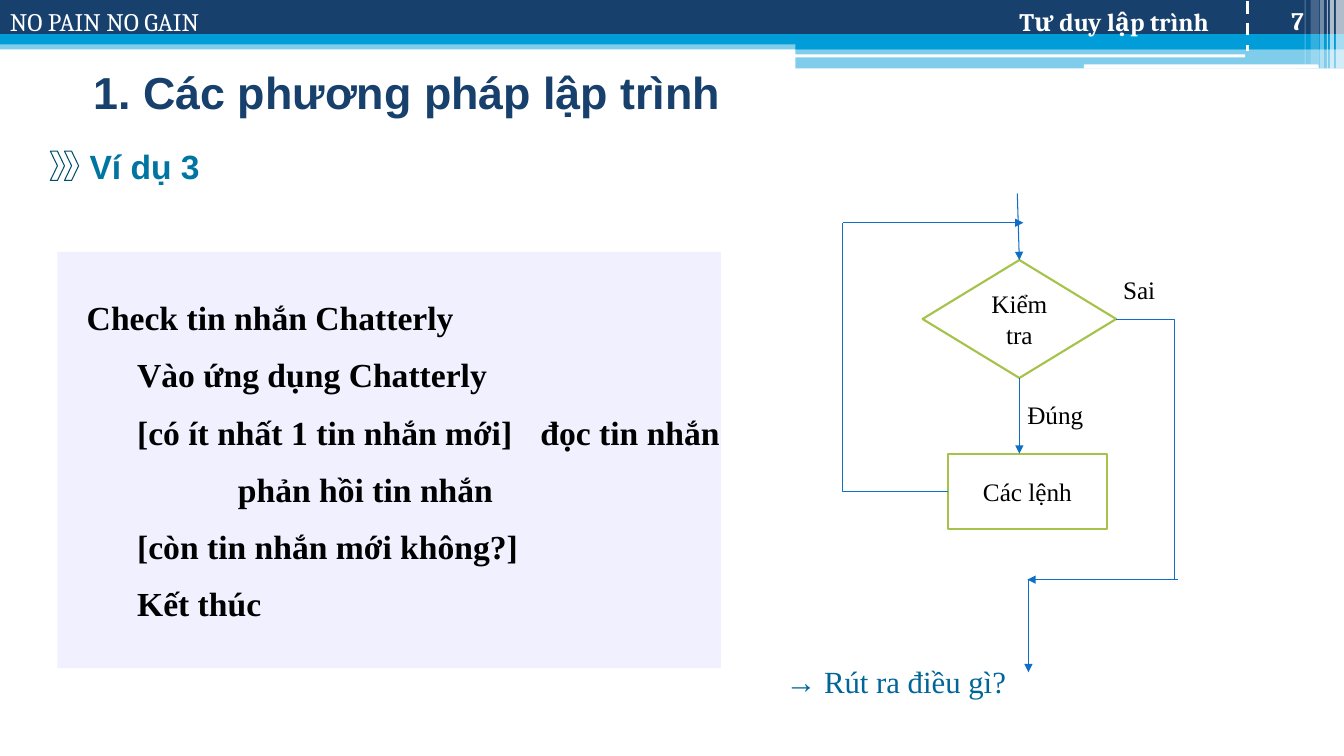
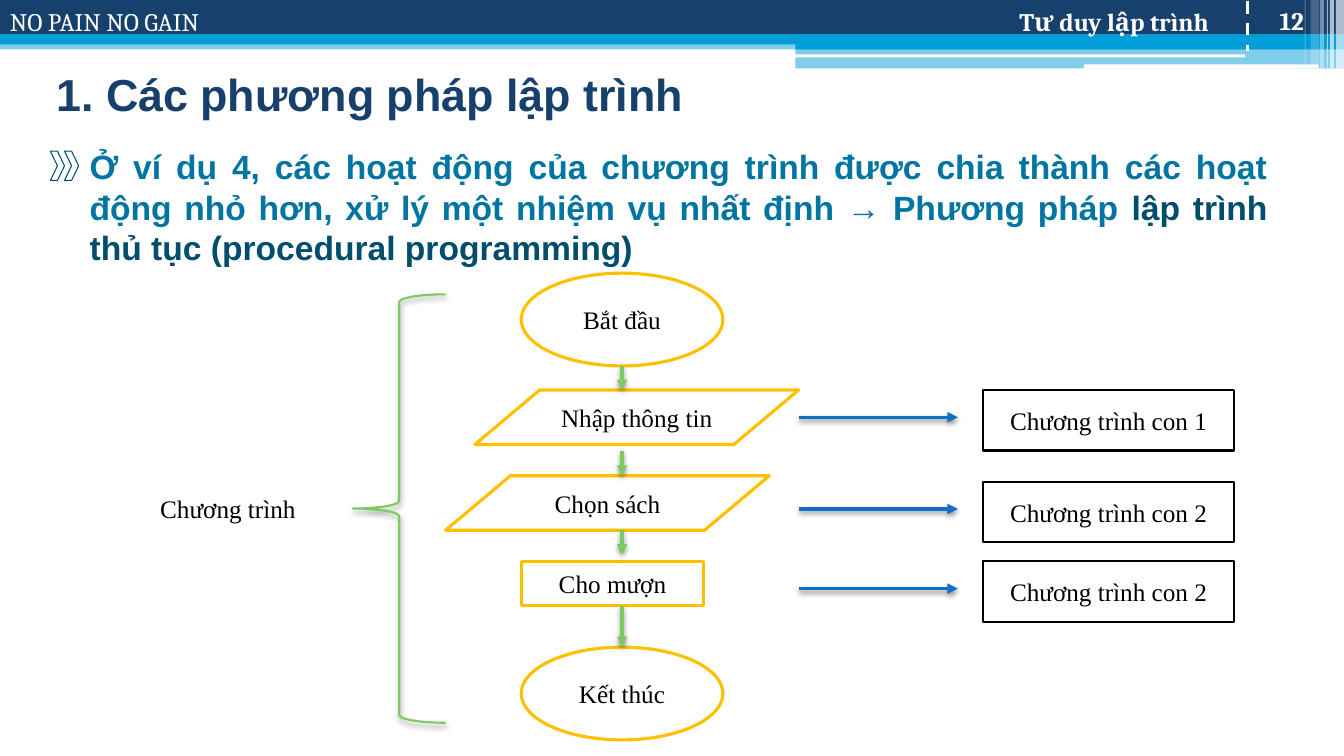
"""Build two lecture slides on programming methods."""
from lxml import etree
from pptx import Presentation
from pptx import util as u
from pptx.dml import color
from pptx.enum import dml, shapes, text
from pptx.oxml import ns

COLORS = {
    "navy": "17406D", "sky": "009DD9", "white": "FFFFFF", "black": "000000",
    "panel": "F0F0FF", "question": "006699", "heading": "0075A2",
    "emphasis": "004E6C", "olive": "A5C249", "blue": "0F6FC6",
    "gold": "FFC000", "green": "7CCA62",
}
SHAPE = shapes.MSO_SHAPE
ALIGN = text.PP_ALIGN
ANCHOR = text.MSO_ANCHOR
SERIF, SANS, HEADER = "Times New Roman", "Arial", "Cambria"
INSETS = (0.1, 0.05, 0.1, 0.05)
TITLE = "1. Các phương pháp lập trình"


def rgb(name):
    """Return the named colour."""
    return color.RGBColor.from_string(COLORS[name])


def add_child(parent, tag, **attributes):
    """Append a DrawingML element and return it."""
    return etree.SubElement(parent, ns.qn(tag), {k: str(v) for k, v in attributes.items()})


def set_shadow(item, blur=0.0, alpha=0):
    """Give a shape or connector a soft downward shadow, or none when blur is zero."""
    properties = item._element.spPr
    for effects in properties.findall(ns.qn("a:effectLst")):
        properties.remove(effects)
    effects = add_child(properties, "a:effectLst")
    if blur:
        outer = add_child(effects, "a:outerShdw", blurRad=u.Pt(blur), dist=u.Pt(2),
                          dir=5400000, rotWithShape=0)
        tint = add_child(outer, "a:srgbClr", val=COLORS["black"])
        add_child(tint, "a:alpha", val=alpha * 1000)


def add_figure(slide, kind, box, fill=None, line=None, width=1.5, alpha=100):
    """Add a preset shape with the given fill and outline."""
    figure = slide.shapes.add_shape(kind, *map(u.Inches, box))
    figure.shadow.inherit = False
    if fill:
        figure.fill.solid()
        figure.fill.fore_color.rgb = rgb(fill)
        if alpha < 100:
            tint = figure._element.spPr.find(ns.qn("a:solidFill"))[0]
            add_child(tint, "a:alpha", val=alpha * 1000)
    else:
        figure.fill.background()
    if line:
        figure.line.color.rgb = rgb(line)
        figure.line.width = u.Pt(width)
    else:
        figure.line.fill.background()
    return figure


def set_frame(item, insets=INSETS, anchor=ANCHOR.TOP):
    """Set wrapping, insets and anchor, and return the text frame."""
    frame = item.text_frame
    frame.word_wrap = True
    frame.vertical_anchor = anchor
    (frame.margin_left, frame.margin_top,
     frame.margin_right, frame.margin_bottom) = map(u.Inches, insets)
    return frame


def add_run(paragraph, words, size, font, tint, bold=False):
    """Append one formatted run."""
    run = paragraph.add_run()
    run.text = words
    run.font.size = u.Pt(size)
    run.font.name = font
    run.font.bold = bold
    run.font.color.rgb = rgb(tint)


def add_label(slide, box, words, size=18, font=SERIF, tint="black", bold=False,
              align=ALIGN.LEFT, anchor=ANCHOR.TOP, insets=INSETS):
    """Add a one-paragraph text box and return the paragraph."""
    label = slide.shapes.add_textbox(*map(u.Inches, box))
    paragraph = set_frame(label, insets, anchor).paragraphs[0]
    paragraph.alignment = align
    add_run(paragraph, words, size, font, tint, bold)
    return paragraph


def add_step(slide, kind, box, words, line, width=1.5):
    """Add a white flowchart step with centred text."""
    step = add_figure(slide, kind, box, "white", line, width)
    paragraph = set_frame(step, anchor=ANCHOR.MIDDLE).paragraphs[0]
    paragraph.alignment = ALIGN.CENTER
    add_run(paragraph, words, 18, SERIF, "black")


def add_line(slide, start, end, tint="blue", width=0.75, arrow=True, shadow=False, bent=False):
    """Add a straight or once-bent connector between two points."""
    kind = shapes.MSO_CONNECTOR.ELBOW if bent else shapes.MSO_CONNECTOR.STRAIGHT
    line = slide.shapes.add_connector(kind, *map(u.Inches, (*start, *end)))
    if bent:
        line._element.spPr.find(ns.qn("a:prstGeom")).set("prst", "bentConnector2")
    line.line.color.rgb = rgb(tint)
    line.line.width = u.Pt(width)
    if arrow:
        add_child(line.line._get_or_add_ln(), "a:tailEnd", type="triangle")
    set_shadow(line, *((4, 45) if shadow else ()))
    return line


def add_header(slide, number):
    """Draw the bands, course name and page number along the top edge."""
    bands = [
        (0, 0.4, 13.33, 0.09, "sky", 50), (0, 0, 13.33, 0.34, "navy", 100),
        (0, 0.34, 13.33, 0.1, "sky", 100), (7.89, 0.39, 5.44, 0.1, "sky", 100),
        (7.89, 0.48, 5.44, 0.2, "sky", 50),
    ]
    for *box, tint, alpha in bands:
        add_figure(slide, SHAPE.RECTANGLE, box, tint, alpha=alpha)
    for box in ((7.88, 0.54, 4.47, 0.03), (10.75, 0.64, 2.33, 0.04)):
        add_figure(slide, SHAPE.ROUNDED_RECTANGLE, box, "white")
    stripes = [
        (13.25, 0.08, 0.68, 65), (13.19, 0.04, 0.68, 65), (13.16, 0.01, 0.68, 60),
        (13.09, 0.04, 0.68, 40), (13, 0.08, 0.64, 20), (12.94, 0.01, 0.64, 30),
    ]
    for left, width, height, alpha in stripes:
        add_figure(slide, SHAPE.RECTANGLE, (left, 0, width, height), "white", alpha=alpha)
    add_label(slide, (0, 0.01, 3.56, 0.4), "NO PAIN NO GAIN", font=HEADER, tint="white")
    add_label(slide, (5.78, 0.01, 6.48, 0.4), "Tư duy lập trình", font=HEADER, tint="white",
              bold=True, align=ALIGN.RIGHT, anchor=ANCHOR.BOTTOM, insets=(0.1, 0.05, 0.27, 0.05))
    divider = add_line(slide, (12.37, 0.01), (12.37, 0.51), "white", 2.25, arrow=False)
    divider.line.dash_style = dml.MSO_LINE.DASH
    add_label(slide, (12.22, 0, 0.81, 0.4), str(number), font=HEADER, tint="white",
              bold=True, align=ALIGN.RIGHT, anchor=ANCHOR.BOTTOM)


def add_heading(slide, box, words, align=ALIGN.LEFT):
    """Add a heading after two chevrons and return its paragraph."""
    left, top, width, height = box
    for index in range(2):
        add_figure(slide, SHAPE.CHEVRON, (left + index * 0.14, top + 0.15, 0.14, 0.29),
                   line="emphasis", width=0.75)
    return add_label(slide, (left + 0.29, top, width - 0.29, height), words, 24, SANS,
                     "heading", True, align, insets=(0.1, 0.1, 0.1, 0.1))


def start_slide(deck, number, title_box):
    """Add a blank slide with the shared header and title."""
    slide = deck.slides.add_slide(deck.slide_layouts[6])
    add_header(slide, number)
    add_label(slide, title_box, TITLE, 32, SANS, "navy", True, anchor=ANCHOR.MIDDLE)
    return slide


def add_algorithm(slide, box):
    """Add the panel listing the steps of the algorithm."""
    panel = add_figure(slide, SHAPE.RECTANGLE, box, "panel")
    frame = set_frame(panel, (0.29, 0.15, 0, 0.15), ANCHOR.MIDDLE)
    steps = [
        (0, "Check tin nhắn Chatterly"), (0.5, "Vào ứng dụng Chatterly"),
        (0.5, "[có ít nhất 1 tin nhắn mới]\tđọc tin nhắn"), (1.5, "phản hồi tin nhắn"),
        (0.5, "[còn tin nhắn mới không?]"), (0.5, "Kết thúc"),
    ]
    for index, (indent, words) in enumerate(steps):
        paragraph = frame.add_paragraph() if index else frame.paragraphs[0]
        paragraph.alignment = ALIGN.LEFT
        paragraph.space_after = u.Pt(12)
        paragraph._p.get_or_add_pPr().set("marL", str(u.Inches(indent)))
        add_run(paragraph, words, 24, SERIF, "black", True)


def add_loop(slide, left, top):
    """Draw the loop flowchart from its top left corner."""
    def at(x, y):
        return left + x, top + y

    add_step(slide, SHAPE.FLOWCHART_DECISION, (*at(0.79, 0.66), 1.92, 1.17), "Kiểm tra", "olive")
    add_step(slide, SHAPE.RECTANGLE, (*at(1.04, 2.58), 1.58, 0.75), "Các lệnh", "olive")
    add_line(slide, at(1.04, 2.96), at(0, 0.29), arrow=False, bent=True)
    add_line(slide, at(2.71, 1.25), at(3.29, 3.83), arrow=False, bent=True)
    arrows = [
        ((1.75, 1.83), (1.75, 2.58)), ((1.73, 0), (1.75, 0.66)), ((0, 0.29), (1.79, 0.29)),
        ((1.84, 3.83), (1.84, 4.75)), ((3.32, 3.83), (1.83, 3.83)),
    ]
    for start, end in arrows:
        add_line(slide, at(*start), at(*end))
    add_label(slide, (*at(1.73, 1.99), 0.81, 0.4), "Đúng")
    add_label(slide, (*at(2.68, 0.75), 0.55, 0.4), "Sai")


def add_program(slide, left, top):
    """Draw the main program steps and their brace from the top left corner."""
    steps = [
        (SHAPE.OVAL, 3.68, 0, 2, 0.92, "Bắt đầu"),
        (SHAPE.OVAL, 3.68, 3.71, 2, 0.92, "Kết thúc"),
        (SHAPE.FLOWCHART_DATA, 3.22, 1.16, 3.21, 0.54, "Nhập thông tin"),
        (SHAPE.FLOWCHART_DATA, 2.93, 2.01, 3.21, 0.54, "Chọn sách"),
        (SHAPE.FLOWCHART_PROCESS, 3.68, 2.86, 1.81, 0.44, "Cho mượn"),
    ]
    for kind, x, y, width, height, words in steps:
        add_step(slide, kind, (left + x, top + y, width, height), words, "gold", 2.25)
    middle = left + 4.68
    for start, end in ((0.92, 1.16), (1.76, 2.01), (2.55, 2.79), (3.3, 3.71)):
        add_line(slide, (middle, top + start), (middle, top + end), "green", 2.5, shadow=True)
    brace = add_figure(slide, SHAPE.LEFT_BRACE, (left + 2.01, top + 0.21, 0.92, 4.25),
                       line="green")
    set_shadow(brace, 4.1, 40)
    add_label(slide, (left, top + 2.13, 1.72, 0.4), "Chương trình")


def add_subprograms(slide, left, top):
    """Draw the arrows to the subprogram boxes from the top left corner."""
    for offset, number in ((0, 1), (0.91, 2), (1.7, 2)):
        y = top + offset
        add_line(slide, (left, y + 0.27), (left + 1.58, y + 0.27), width=2.5, shadow=True)
        add_step(slide, SHAPE.FLOWCHART_PROCESS, (left + 1.83, y, 2.49, 0.6),
                 f"Chương trình con {number}", "black")


def build_example(deck):
    """Build the slide with the message example."""
    slide = start_slide(deck, 7, (0.83, 0.48, 11.58, 0.86))
    add_algorithm(slide, (0.57, 2.5, 6.58, 4.13))
    add_label(slide, (7.47, 6.44, 2.83, 0.62), "→ Rút ra điều gì?", 22, tint="question",
              align=ALIGN.CENTER, insets=(0.13, 0.13, 0.13, 0.13))
    add_heading(slide, (0.5, 1.35, 5.75, 0.49), "Ví dụ 3")
    add_loop(slide, 8.36, 1.92)


def build_procedures(deck):
    """Build the slide on procedural programming."""
    slide = start_slide(deck, 12, (0.46, 0.5, 11.78, 0.86))
    heading = add_heading(
        slide, (0.5, 1.35, 12.17, 1.56),
        "Ở ví dụ 4, các hoạt động của chương trình được chia thành các hoạt động nhỏ hơn, "
        "xử lý một nhiệm vụ nhất định → Phương pháp ", ALIGN.JUSTIFY)
    add_run(heading, "lập trình thủ tục (procedural programming)", 24, SANS, "emphasis", True)
    add_program(slide, 1.49, 2.71)
    add_subprograms(slide, 7.92, 3.87)


def main():
    """Build and save the presentation."""
    deck = Presentation()
    deck.slide_width, deck.slide_height = u.Inches(13.33), u.Inches(7.5)
    build_example(deck)
    build_procedures(deck)
    deck.save("out.pptx")


if __name__ == "__main__":
    main()
